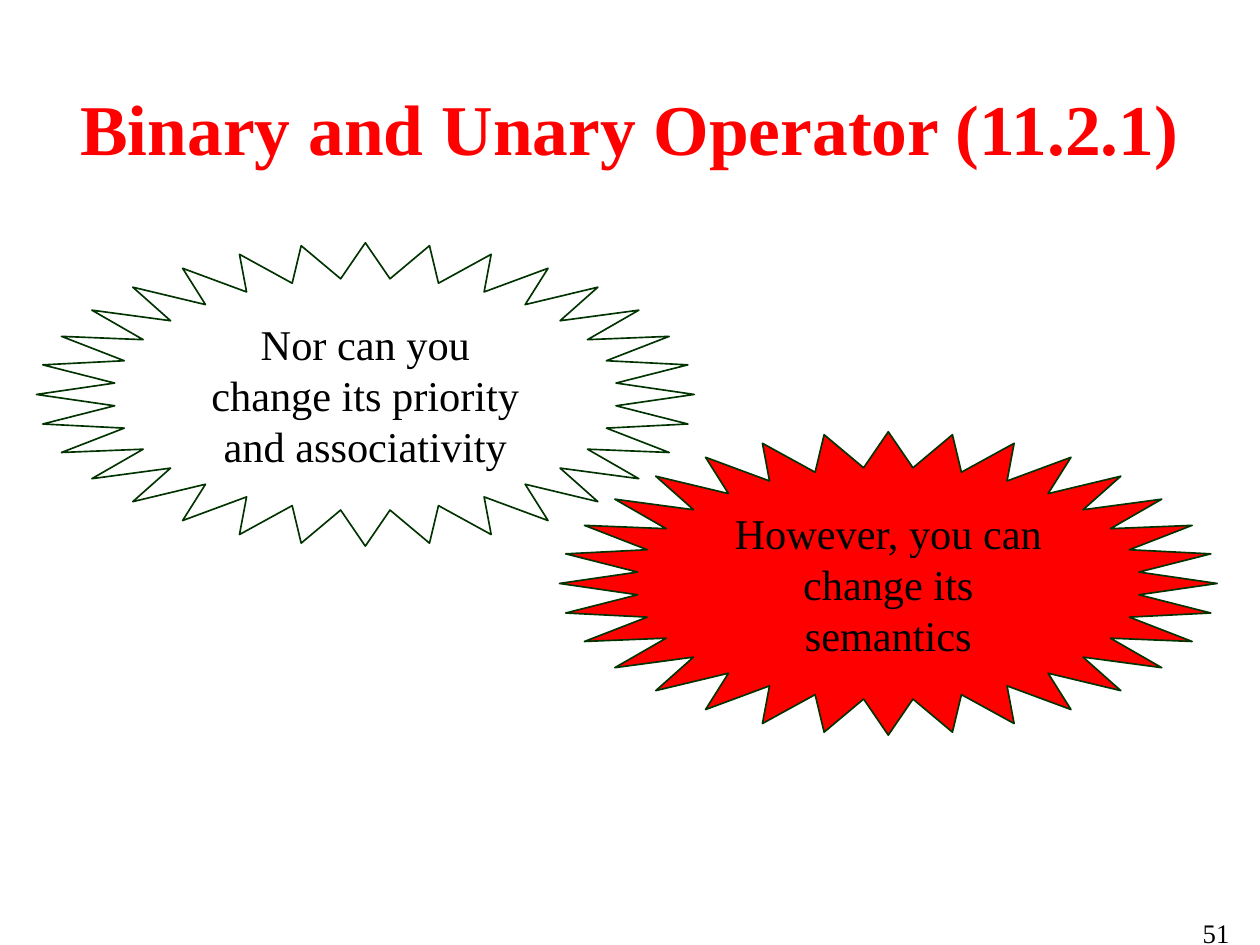
from pptx import Presentation
from pptx.dml.color import RGBColor
from pptx.enum.shapes import MSO_SHAPE
from pptx.enum.text import MSO_ANCHOR, PP_ALIGN
from pptx.util import Inches, Pt

WIDTH, HEIGHT = 7.84, 5.88
FONT = "Times New Roman"
COLORS = {"red": "FF0000", "black": "000000", "outline": "003300"}

TITLE = "Binary and Unary Operator (11.2.1)"
PAGE_NUMBER = "51"
# text, left and top as shares of the slide, fill
BURSTS = [
    ("However, you can change its semantics", 0.444, 0.457, "red"),
    ("Nor can you change its priority and associativity", 0.029, 0.257, None),
]
BURST_SIZE = (0.522, 0.321)
BURST_INNER_RADIUS = 0.383


def color(name):
    return RGBColor.from_string(COLORS[name])


def box(left, top, width, height):
    """Turn shares of the slide into lengths."""
    return (Inches(left * WIDTH), Inches(top * HEIGHT),
            Inches(width * WIDTH), Inches(height * HEIGHT))


def write(shape, text, size, ink="black", bold=False, align=PP_ALIGN.CENTER,
          anchor=MSO_ANCHOR.MIDDLE, side_margin=0.08):
    frame = shape.text_frame
    frame.word_wrap = True
    frame.vertical_anchor = anchor
    frame.margin_left = frame.margin_right = Inches(side_margin)
    frame.margin_top = frame.margin_bottom = Inches(0.04)
    paragraph = frame.paragraphs[0]
    paragraph.alignment = align
    run = paragraph.add_run()
    run.text = text
    run.font.name = FONT
    run.font.size = Pt(size)
    run.font.bold = bold
    run.font.color.rgb = color(ink)


def add_burst(slide, text, left, top, fill):
    burst = slide.shapes.add_shape(MSO_SHAPE.STAR_32_POINT,
                                   *box(left, top, *BURST_SIZE))
    burst.adjustments[0] = BURST_INNER_RADIUS
    burst.shadow.inherit = False
    if fill:
        burst.fill.solid()
        burst.fill.fore_color.rgb = color(fill)
    else:
        burst.fill.background()
    burst.line.color.rgb = color("outline")
    burst.line.width = Pt(0.75)
    write(burst, text, 19, side_margin=0.12)


def main():
    presentation = Presentation()
    presentation.slide_width = Inches(WIDTH)
    presentation.slide_height = Inches(HEIGHT)
    slide = presentation.slides.add_slide(presentation.slide_layouts[5])

    page_number = slide.shapes.add_textbox(*box(0.736, 0.963, 0.25, 0.07))
    write(page_number, PAGE_NUMBER, 12, align=PP_ALIGN.RIGHT,
          anchor=MSO_ANCHOR.TOP)

    title = slide.shapes.title
    title.left, title.top, title.width, title.height = box(
        0.033, 0.036, 0.934, 0.196)
    write(title, TITLE, 32, ink="red", bold=True)

    for burst in BURSTS:
        add_burst(slide, *burst)

    presentation.save("out.pptx")


if __name__ == "__main__":
    main()
